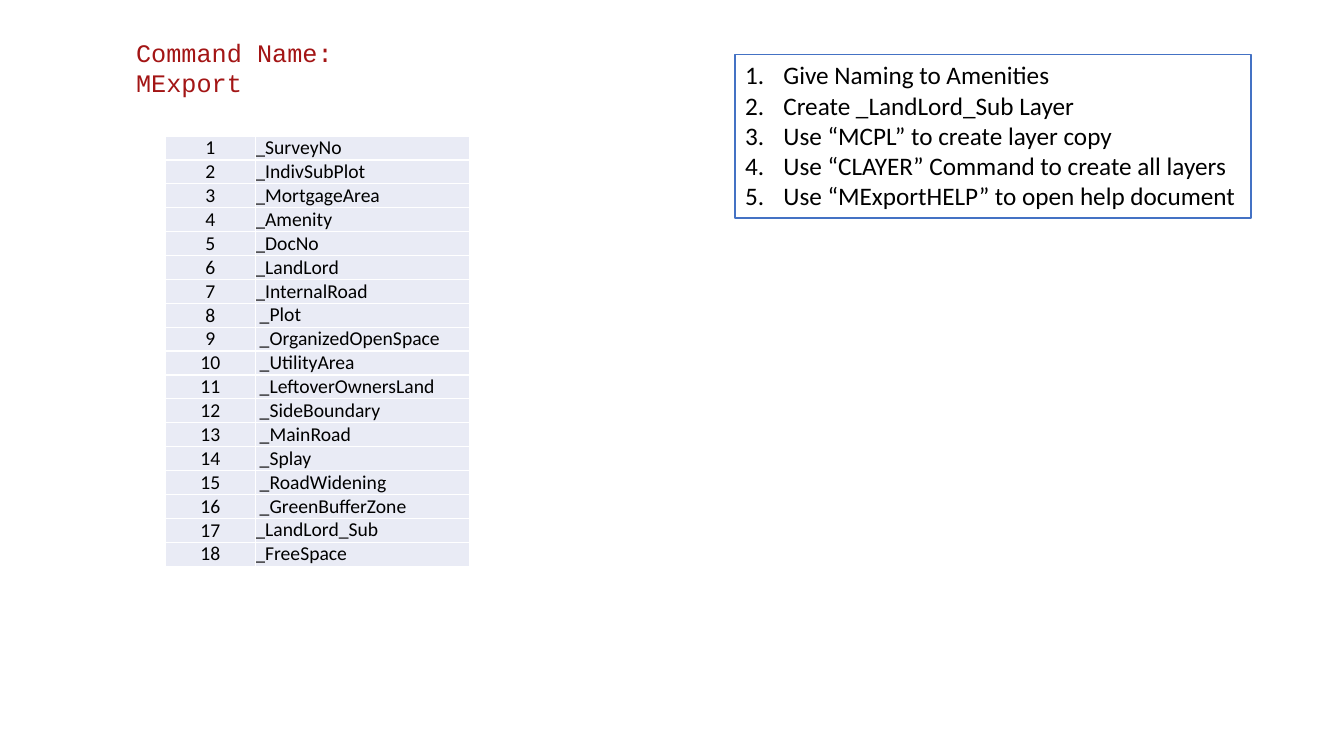
from dataclasses import dataclass

from lxml import etree
from pptx import Presentation
from pptx.dml.color import RGBColor
from pptx.enum.text import MSO_ANCHOR, MSO_AUTO_SIZE, PP_ALIGN
from pptx.oxml.ns import qn
from pptx.util import Inches, Pt

LEFT, CENTER = PP_ALIGN.LEFT, PP_ALIGN.CENTER
TOP, MIDDLE = MSO_ANCHOR.TOP, MSO_ANCHOR.MIDDLE

WHITE = RGBColor(0xFF, 0xFF, 0xFF)
BLACK = RGBColor(0x00, 0x00, 0x00)
RED = RGBColor(0xA3, 0x15, 0x15)
BLUE = RGBColor(0x44, 0x72, 0xC4)
PALE_BLUE = RGBColor(0xE9, 0xEB, 0xF5)

# The slide is a grid of 32 columns and 18 rows of square units
COLUMNS, ROWS = 32, 18
SLIDE_WIDTH, SLIDE_HEIGHT = Inches(13.333), Inches(7.5)
UNIT = SLIDE_HEIGHT / ROWS


@dataclass(frozen=True)
class Area:
    column: float
    row: float
    width: float
    height: float


@dataclass(frozen=True)
class TextStyle:
    font: str
    size: int
    color: RGBColor
    align: PP_ALIGN = LEFT


TITLE_AREA = Area(3, 0.77, 7.8, 1.56)
STEPS_AREA = Area(17.5, 1.3, 12.29, 3.89)
TABLE_AREA = Area(3.94, 3.24, 7.25, 10.08)
NUMBER_WIDTH = 2.14

TITLE_STYLE = TextStyle("Courier New", 18, RED)
STEP_STYLE = TextStyle("Calibri", 18, BLACK)
NUMBER_STYLE = TextStyle("Calibri", 14, BLACK, CENTER)
LAYER_STYLE = TextStyle("Calibri", 14, BLACK)

TITLE = "Command Name: MExport"
STEPS = [
    "Give Naming to Amenities",
    "Create _LandLord_Sub Layer",
    "Use “MCPL” to create layer copy",
    "Use “CLAYER” Command to create all layers",
    "Use “MExportHELP” to open help document",
]
LAYERS = [
    "_SurveyNo", "_IndivSubPlot", "_MortgageArea", "_Amenity", "_DocNo",
    "_LandLord", "_InternalRoad", " _Plot", " _OrganizedOpenSpace",
    " _UtilityArea", " _LeftoverOwnersLand", " _SideBoundary", " _MainRoad",
    " _Splay", " _RoadWidening", " _GreenBufferZone", "_LandLord_Sub",
    "_FreeSpace",
]


def units(count: float) -> int:
    return round(count * UNIT)


def place(shape, area: Area) -> None:
    shape.left, shape.top = units(area.column), units(area.row)
    shape.width, shape.height = units(area.width), units(area.height)


def write(para, text: str, style: TextStyle) -> None:
    para.text = text
    para.alignment = style.align
    para.line_spacing = 1.0
    para.space_before = para.space_after = Pt(0)
    para.font.name, para.font.size = style.font, Pt(style.size)
    para.font.color.rgb = style.color


def number(para) -> None:
    properties = para._p.get_or_add_pPr()
    properties.set("marL", str(Inches(0.38)))
    properties.set("indent", str(-Inches(0.38)))
    etree.SubElement(properties, qn("a:buFont"), typeface="+mj-lt")
    etree.SubElement(properties, qn("a:buAutoNum"), type="arabicPeriod")


def fill_placeholder(box, area: Area, lines: list[str], style: TextStyle,
                     wrap: bool, numbered: bool) -> None:
    place(box, area)
    frame = box.text_frame
    frame.auto_size = MSO_AUTO_SIZE.NONE
    frame.word_wrap = wrap
    frame.vertical_anchor = TOP
    for index, line in enumerate(lines):
        para = frame.add_paragraph() if index else frame.paragraphs[0]
        write(para, line, style)
        if numbered:
            number(para)


def fill_cell(cell, text: str, style: TextStyle, anchor: MSO_ANCHOR) -> None:
    cell.margin_left = cell.margin_right = 0
    cell.margin_top = cell.margin_bottom = 0
    cell.vertical_anchor = anchor
    write(cell.text_frame.paragraphs[0], text, style)
    properties = cell._tc.get_or_add_tcPr()
    for side in ("lnL", "lnR", "lnT", "lnB"):
        border = etree.SubElement(properties, qn(f"a:{side}"), w=str(Pt(1)))
        paint = etree.SubElement(border, qn("a:solidFill"))
        etree.SubElement(paint, qn("a:srgbClr"), val=str(WHITE))
    cell.fill.solid()
    cell.fill.fore_color.rgb = PALE_BLUE


def add_layer_table(page, area: Area) -> None:
    table = page.shapes.add_table(
        len(LAYERS), 2, units(area.column), units(area.row),
        units(area.width), units(area.height)).table
    table.first_row = table.horz_banding = False
    table.columns[0].width = units(NUMBER_WIDTH)
    table.columns[1].width = units(area.width - NUMBER_WIDTH)
    for index, layer in enumerate(LAYERS):
        table.rows[index].height = units(area.height / len(LAYERS))
        fill_cell(table.cell(index, 0), str(index + 1), NUMBER_STYLE, MIDDLE)
        fill_cell(table.cell(index, 1), layer, LAYER_STYLE, TOP)


def main() -> None:
    deck = Presentation()
    deck.slide_width, deck.slide_height = SLIDE_WIDTH, SLIDE_HEIGHT
    page = deck.slides.add_slide(deck.slide_layouts[1])

    # Command name
    fill_placeholder(page.shapes.title, TITLE_AREA, [TITLE], TITLE_STYLE,
                     wrap=True, numbered=False)

    # Numbered steps in a framed box
    steps = page.placeholders[1]
    fill_placeholder(steps, STEPS_AREA, STEPS, STEP_STYLE,
                     wrap=False, numbered=True)
    steps.fill.solid()
    steps.fill.fore_color.rgb = WHITE
    steps.line.color.rgb = BLUE
    steps.line.width = Pt(1)

    # Layer names
    add_layer_table(page, TABLE_AREA)

    deck.save("out.pptx")


if __name__ == "__main__":
    main()
